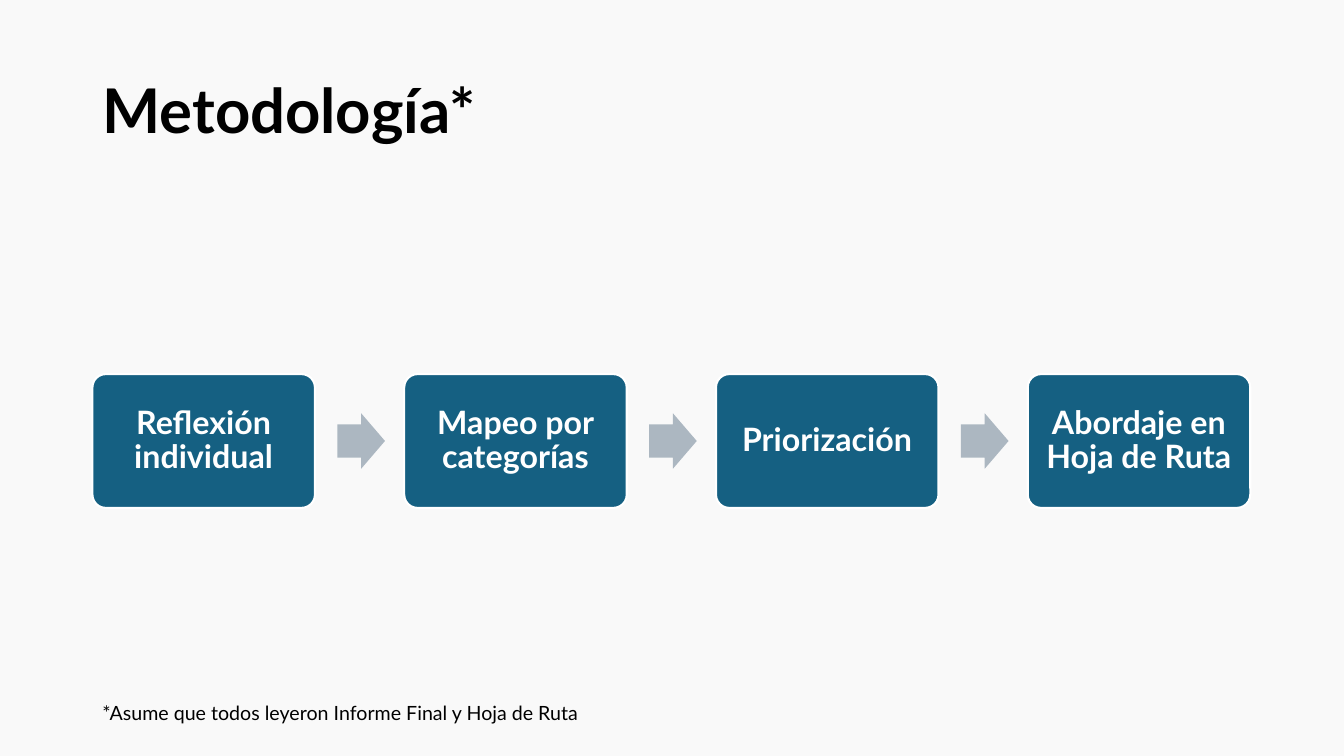
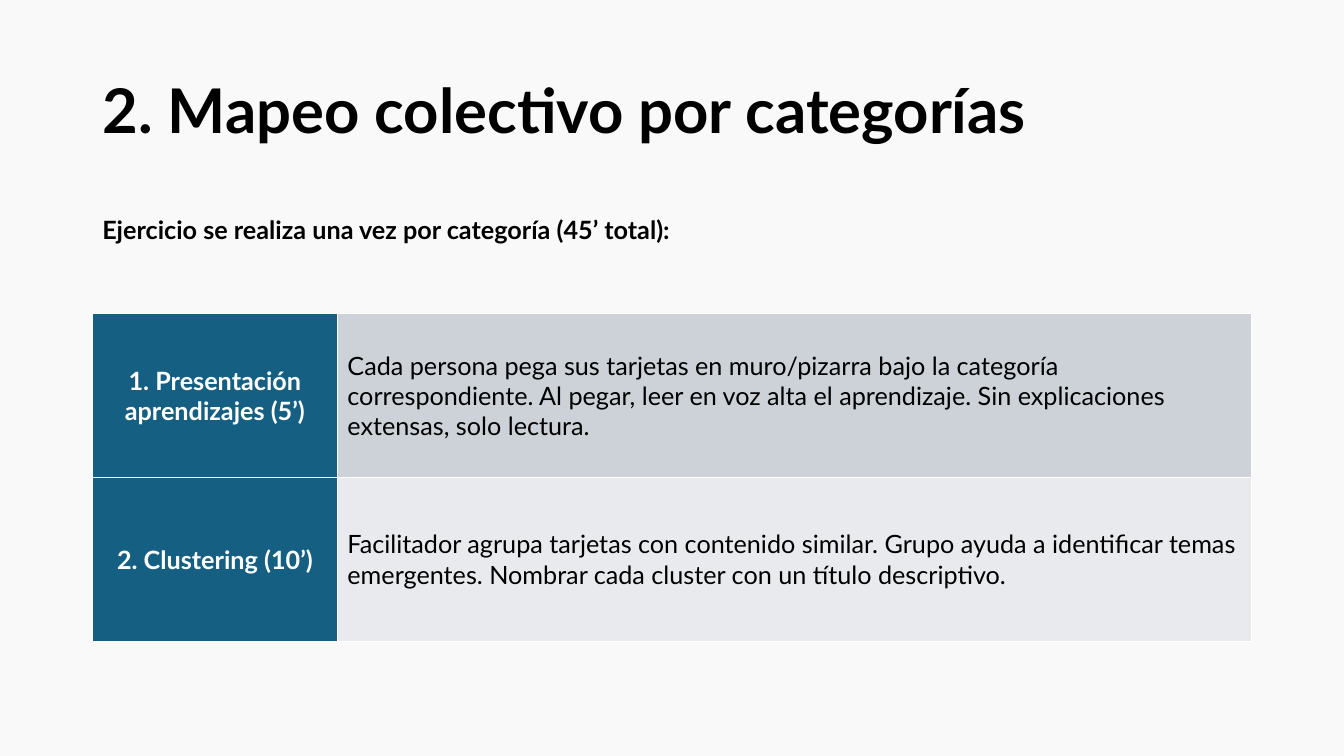
from lxml.etree import SubElement
from pptx import Presentation
from pptx.dml.color import RGBColor
from pptx.enum.shapes import MSO_SHAPE
from pptx.enum.text import MSO_ANCHOR, MSO_AUTO_SIZE, PP_ALIGN
from pptx.oxml.ns import qn
from pptx.util import Pt

COLORS = {
    "paper": "F9F9F9",
    "ink": "000000",
    "white": "FFFFFF",
    "teal": "156082",
    "arrow": "ACB7C1",
    "row_dark": "CCD2D8",
    "row_light": "E8EAED",
}
MARGIN = 66


def rgb(name):
    return RGBColor.from_string(COLORS[name])


def set_all(target, values):
    for key, value in values.items():
        setattr(target, key, value)


class Slides:
    """Holds the shared style and the current page."""

    font_name = "Lato"

    def __init__(self):
        self.deck = Presentation()
        set_all(self.deck, {"slide_width": Pt(960), "slide_height": Pt(540)})
        background = self.deck.slide_master.background.fill
        background.solid()
        background.fore_color.rgb = rgb("paper")
        self.page = None

    def add_text(self, frame, text, size, color="ink", bold=False,
                 align=PP_ALIGN.LEFT, spacing=1.0):
        para = frame.paragraphs[0]
        set_all(para, {"alignment": align, "line_spacing": spacing})
        span = para.add_run()
        span.text = text
        set_all(span.font, {"name": self.font_name, "size": Pt(size), "bold": bold})
        span.font.color.rgb = rgb(color)

    def new_page(self, title):
        self.page = self.deck.slides.add_slide(self.deck.slide_layouts[5])
        box = self.page.shapes.title
        set_all(box, {"left": Pt(MARGIN), "top": Pt(28.8),
                      "width": Pt(726), "height": Pt(104.4)})
        set_all(box.text_frame, {"vertical_anchor": MSO_ANCHOR.MIDDLE,
                                 "auto_size": MSO_AUTO_SIZE.NONE})
        self.add_text(box.text_frame, title, 44, bold=True, spacing=0.9)

    def note(self, text, top, width, height, size, bold=False):
        box = self.page.shapes.add_textbox(Pt(MARGIN), Pt(top), Pt(width), Pt(height))
        set_all(box.text_frame, {"word_wrap": False,
                                 "auto_size": MSO_AUTO_SIZE.SHAPE_TO_FIT_TEXT})
        self.add_text(box.text_frame, text, size, bold=bold)

    def shape(self, kind, left, middle, width, height, color, adjustments):
        shape = self.page.shapes.add_shape(
            kind, Pt(left), Pt(middle - height / 2), Pt(width), Pt(height))
        shape.shadow.inherit = False
        shape.fill.solid()
        shape.fill.fore_color.rgb = rgb(color)
        shape.line.fill.background()
        for index, value in enumerate(adjustments):
            shape.adjustments[index] = value
        return shape

    def process(self, steps, middle, pitch):
        for index, step in enumerate(steps):
            left = MARGIN + index * pitch
            # Arrow from the previous step
            if index:
                self.shape(MSO_SHAPE.RIGHT_ARROW, left - 47.7, middle, 34, 39.6,
                           "arrow", (0.6, 0.5))
            # Step box
            box = self.shape(MSO_SHAPE.ROUNDED_RECTANGLE, left, middle, 159, 95.6,
                             "teal", (0.1,))
            box.line.color.rgb = rgb("white")
            box.line.width = Pt(1.5)
            inset = Pt(7.2)
            set_all(box.text_frame, {
                "word_wrap": True, "vertical_anchor": MSO_ANCHOR.MIDDLE,
                "margin_left": inset, "margin_right": inset,
                "margin_top": inset, "margin_bottom": inset})
            self.add_text(box.text_frame, step, 23, "white", True,
                          PP_ALIGN.CENTER, 0.9)

    def border(self, cell):
        properties = cell._tc.get_or_add_tcPr()
        for side in ("lnL", "lnR", "lnT", "lnB"):
            line = SubElement(properties, qn(f"a:{side}"), w=str(Pt(1)))
            fill = SubElement(line, qn("a:solidFill"))
            SubElement(fill, qn("a:srgbClr"), val=COLORS["white"])

    def table(self, rows, top, widths, row_height):
        frame = self.page.shapes.add_table(
            len(rows), len(widths), Pt(MARGIN), Pt(top),
            Pt(sum(widths)), Pt(row_height * len(rows)))
        table = frame.table
        set_all(table, {"first_row": False, "horz_banding": False})
        for column, width in zip(table.columns, widths):
            column.width = Pt(width)
        for index, texts in enumerate(rows):
            table.rows[index].height = Pt(row_height)
            band = "row_light" if index % 2 else "row_dark"
            styles = (("teal", "white", True, PP_ALIGN.CENTER),
                      (band, "ink", False, PP_ALIGN.LEFT))
            for cell, text, style in zip(table.rows[index].cells, texts, styles):
                fill, color, bold, align = style
                self.border(cell)
                cell.fill.solid()
                cell.fill.fore_color.rgb = rgb(fill)
                cell.vertical_anchor = MSO_ANCHOR.MIDDLE
                self.add_text(cell.text_frame, text, 18, color, bold, align)


def main():
    slides = Slides()

    # Method overview
    slides.new_page("Metodología*")
    slides.process(
        ["Reflexión individual", "Mapeo por categorías",
         "Priorización", "Abordaje en Hoja de Ruta"],
        middle=315, pitch=222.7)
    slides.note("*Asume que todos leyeron Informe Final y Hoja de Ruta",
                top=496.8, width=359, height=24.2, size=14)

    # Group mapping exercise
    slides.new_page("2. Mapeo colectivo por categorías")
    slides.table(
        [("1. Presentación aprendizajes (5’)",
          "Cada persona pega sus tarjetas en muro/pizarra bajo la categoría "
          "correspondiente. Al pegar, leer en voz alta el aprendizaje. "
          "Sin explicaciones extensas, solo lectura."),
         ("2. Clustering (10’)",
          "Facilitador agrupa tarjetas con contenido similar. Grupo ayuda a "
          "identificar temas emergentes. Nombrar cada cluster con un título "
          "descriptivo.")],
        top=224, widths=(175, 653), row_height=117)
    slides.note("Ejercicio se realiza una vez por categoría (45’ total):",
                top=149.8, width=456.5, height=29, size=18, bold=True)

    slides.deck.save("out.pptx")


if __name__ == "__main__":
    main()
